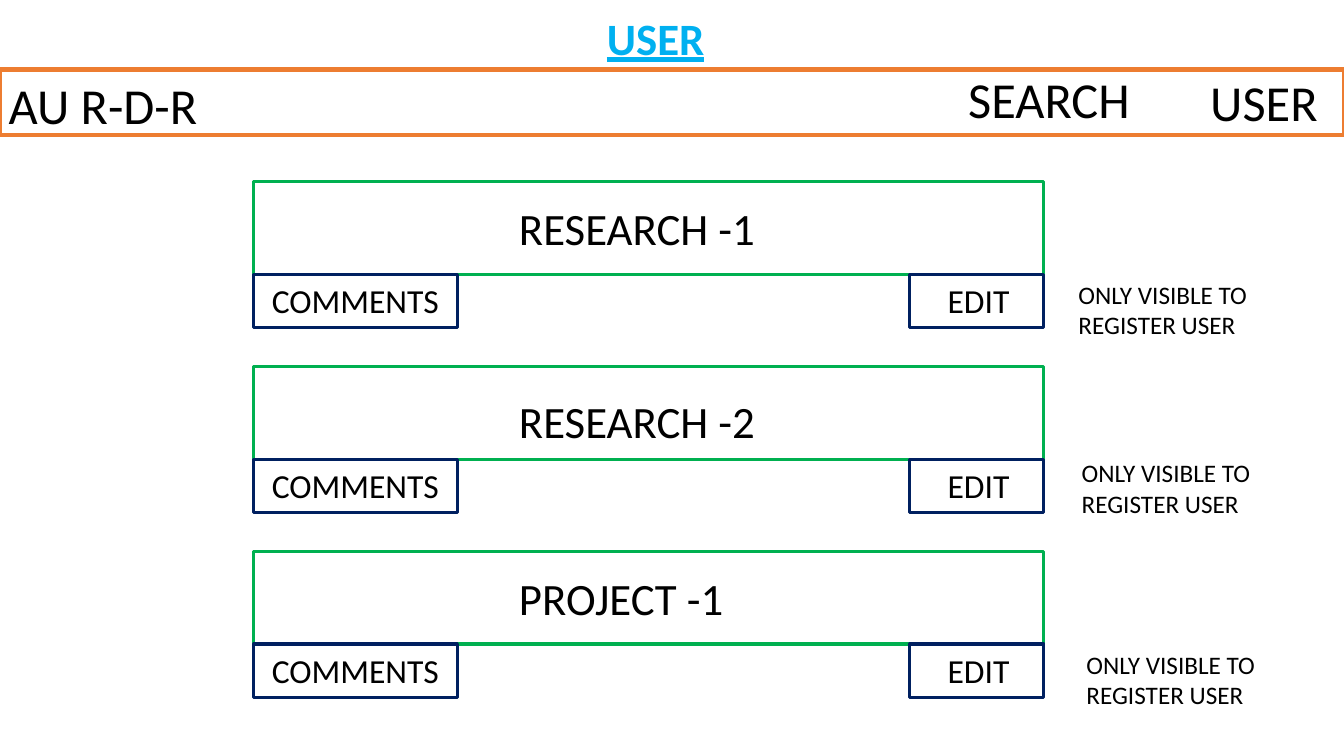
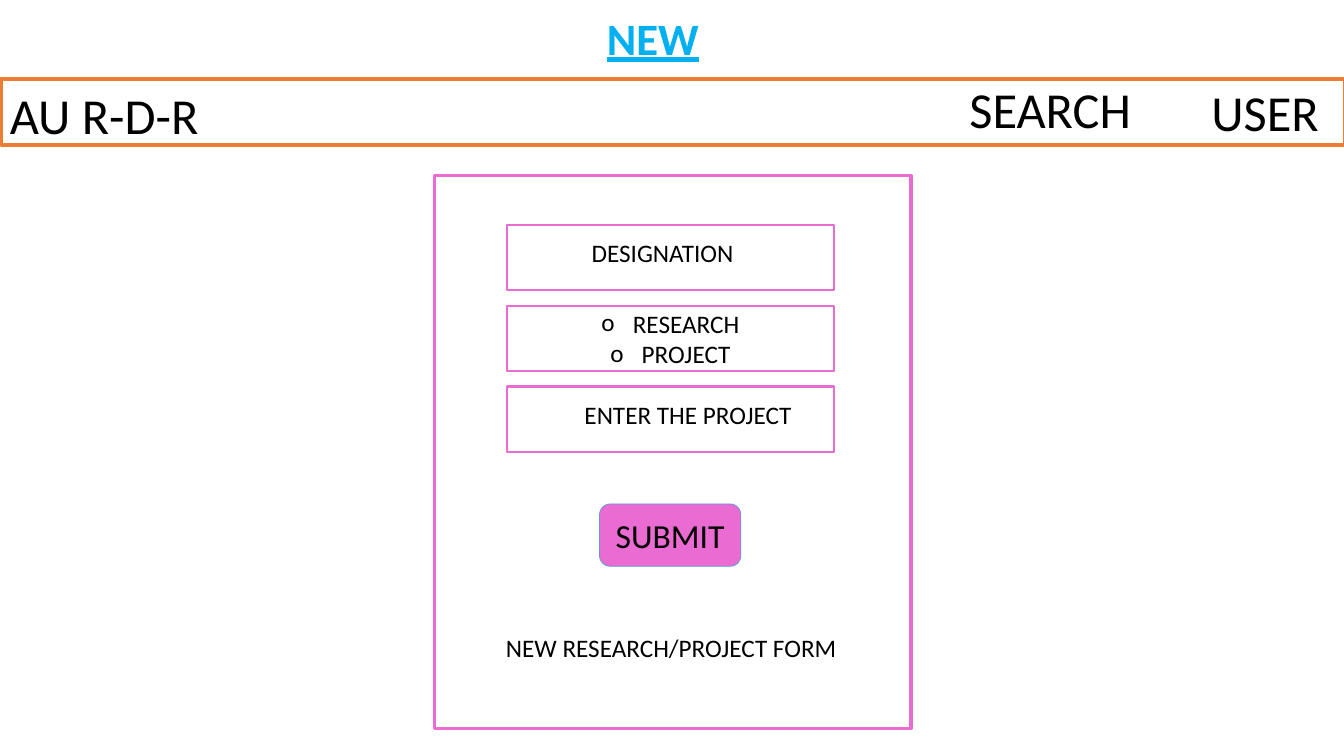
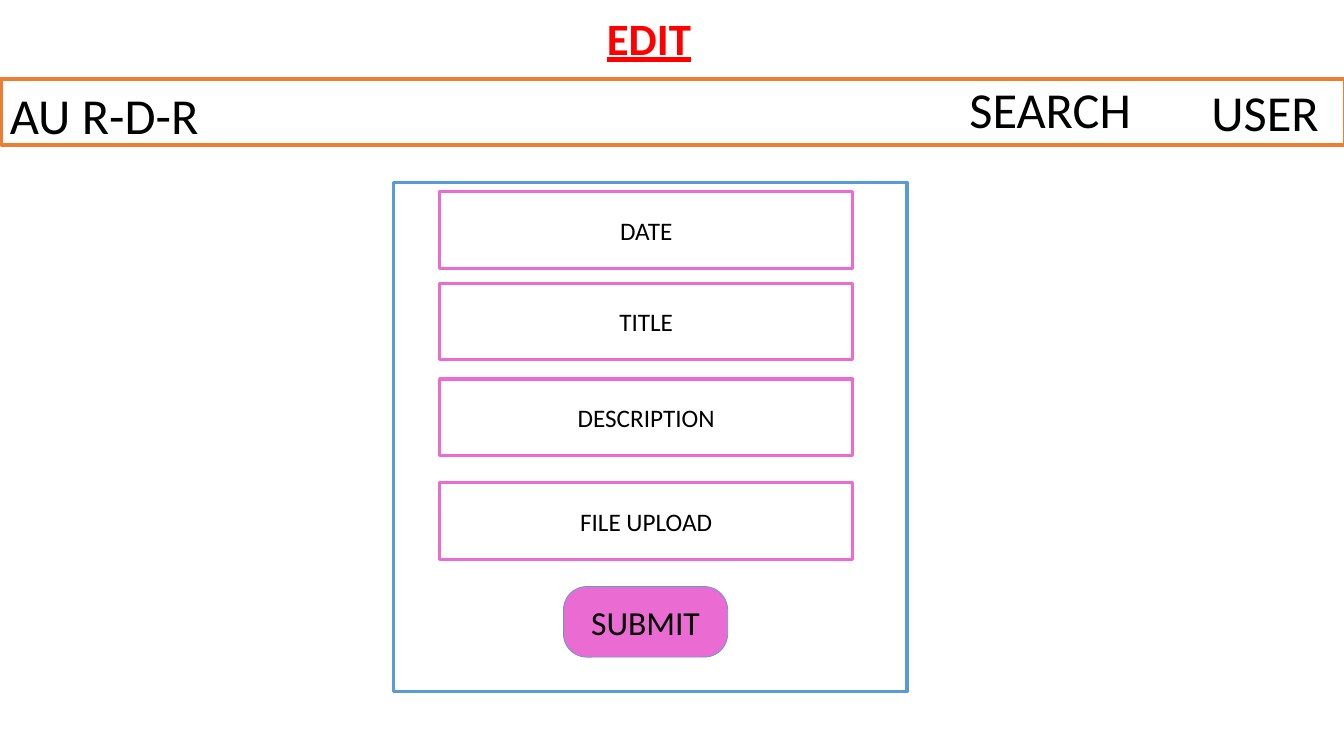
from pptx import Presentation
from pptx.dml.color import RGBColor
from pptx.enum.shapes import MSO_SHAPE
from pptx.enum.text import MSO_ANCHOR, MSO_AUTO_SIZE, PP_ALIGN
from pptx.oxml.ns import qn
from pptx.util import Cm, Pt
from lxml import etree

RECT, ROUNDED = MSO_SHAPE.RECTANGLE, MSO_SHAPE.ROUNDED_RECTANGLE
TOP, MIDDLE = MSO_ANCHOR.TOP, MSO_ANCHOR.MIDDLE
LEFT, CENTER = PP_ALIGN.LEFT, PP_ALIGN.CENTER
FIXED, GROW = MSO_AUTO_SIZE.NONE, MSO_AUTO_SIZE.SHAPE_TO_FIT_TEXT
TITLE_AND_BODY, TITLE_ONLY = 1, 5

COLORS = {
    "white": "FFFFFF", "text": "000000", "title": "00B0F0", "alert": "FF0000",
    "header": "ED7D31", "card": "00B050", "button": "002060",
    "form": "EA6CD2", "outline": "5B9BD5",
}
FORMATS = {
    "title": {"name": "Calibri", "size": Pt(32), "bold": True, "underline": True},
    "header": {"name": "Calibri", "size": Pt(36)},
    "heading": {"name": "Calibri", "size": Pt(32)},
    "button": {"name": "Calibri", "size": Pt(24)},
    "small": {"name": "Calibri", "size": Pt(18)},
}


# Shared helpers; all boxes are (left, top, width, height) in centimetres
def color(key):
    return RGBColor.from_string(COLORS[key])


def place(shape, box):
    for side, length in zip(("left", "top", "width", "height"), box):
        setattr(shape, side, Cm(length))


def write(shape, lines, style, ink="text", align=LEFT, anchor=TOP, fit=FIXED):
    frame = shape.text_frame
    frame.text = lines
    frame.word_wrap, frame.auto_size, frame.vertical_anchor = True, fit, anchor
    for paragraph in frame.paragraphs:
        paragraph.alignment = align
        paragraph.space_before = Pt(0)
        for run in paragraph.runs:
            for attribute, value in FORMATS[style].items():
                setattr(run.font, attribute, value)
            run.font.color.rgb = color(ink)


def paint(shape, line, weight, fill="white"):
    shape.fill.solid()
    shape.fill.fore_color.rgb = color(fill)
    shape.line.color.rgb = color(line)
    shape.line.width = Pt(weight)


def add_box(shapes, box, line, weight, fill="white", outline=RECT):
    shape = shapes.add_shape(outline, *map(Cm, box))
    shape.shadow.inherit = False
    paint(shape, line, weight, fill)
    return shape


def add_label(shapes, box, words, style):
    write(shapes.add_textbox(*map(Cm, box)), words, style, fit=GROW)


def add_bullets(shape, mark):
    for paragraph in shape.text_frame.paragraphs:
        properties = paragraph._p.get_or_add_pPr()
        properties.set("marL", str(Cm(0.79)))
        properties.set("indent", str(-Cm(0.79)))
        font = etree.SubElement(properties, qn("a:buFont"))
        font.set("typeface", "Calibri")
        bullet = etree.SubElement(properties, qn("a:buChar"))
        bullet.set("char", mark)


# Regions
def add_page(layout, title, ink, header_left, header_top):
    slide = deck.slides.add_slide(deck.slide_layouts[layout])
    place(slide.shapes.title, (15.04, 0.13, 3.81, 1.63))
    write(slide.shapes.title, title, "title", ink)
    add_header(slide, header_left, header_top)
    return slide


def add_header(slide, left, top):
    header = slide.shapes.add_group_shape().shapes
    add_box(header, (left, top, 33.87, 1.65), "header", 3)
    for dx, dy, width, words in (
        (-0.03, 0, 6.63, "AU R-D-R"),
        (30.25, -0.08, 3.4, "USER"),
        (24.15, -0.15, 4.67, "SEARCH"),
    ):
        add_label(header, (left + dx, top + dy, width, 1.8), words, "header")


def add_card(slide, box, heading, heading_dy, note_dx, note_dy):
    left, top, width, height = box
    shapes = slide.shapes
    add_box(shapes, box, "card", 2.25)
    add_label(shapes, (left + 6.43, top + heading_dy, 7.01, 1.63), heading, "heading")

    # Buttons hang from the two lower corners of the card
    for dx, button_width, inset, words in (
        (0, 5.13, 0.2, "COMMENTS"),
        (width - 3.38, 3.38, 0.7, "EDIT"),
    ):
        x, y = left + dx, top + height
        add_box(shapes, (x, y, button_width, 1.35), "button", 2.25)
        add_label(shapes, (x + inset, y + 0.02, button_width - inset, 1.27),
                  words, "button")

    add_label(shapes, (left + width + note_dx, top + height + note_dy, 5.64, 1.8),
              "ONLY VISIBLE TO REGISTER USER", "small")


def add_submit(slide, box, rounding):
    submit = add_box(slide.shapes, box, "outline", 0.5, "form", ROUNDED)
    submit.adjustments[0] = rounding
    write(submit, "SUBMIT", "button", align=CENTER, anchor=MIDDLE)


def add_new_form(slide, box):
    left, top = box[:2]
    shapes = slide.shapes
    panel = add_box(shapes, box, "form", 2.25)
    designation, kind, project = [
        (left + 1.83, top + 1.24 + 2.04 * row, 8.23, 1.65) for row in range(3)
    ]

    # Text fields
    for field, dx, words in (
        (designation, 1.88, "DESIGNATION"), (project, 1.7, "ENTER THE PROJECT"),
    ):
        add_box(shapes, field, "form", 1.5)
        add_label(shapes, (field[0] + dx, field[1] + 0.19, 5.74, 1.02), words, "small")

    # Choice list, stacked above the panel
    choices = slide.placeholders[1]
    panel.element.addnext(choices.element)
    place(choices, kind)
    paint(choices, "form", 1.5)
    write(choices, "RESEARCH\nPROJECT", "small", align=CENTER, anchor=MIDDLE)
    add_bullets(choices, "o")

    add_submit(slide, (left + 4.16, top + 8.28, 3.56, 1.57), 0.17)
    add_label(shapes, (left + 1.55, top + 11.38, 10.06, 1.02),
              "NEW RESEARCH/PROJECT FORM", "small")


def add_edit_form(slide, box):
    left, top = box[:2]
    add_box(slide.shapes, box, "outline", 2.25)
    for dy, words in (
        (0.23, "DATE"), (2.54, "TITLE"), (4.95, "DESCRIPTION"), (7.57, "FILE UPLOAD"),
    ):
        field = add_box(slide.shapes, (left + 1.17, top + dy, 10.41, 1.93), "form", 2.25)
        write(field, words, "small", align=CENTER, anchor=MIDDLE)
    add_submit(slide, (left + 4.29, top + 10.18, 4.14, 1.78), 0.33)


deck = Presentation()
deck.slide_width, deck.slide_height = Cm(33.87), Cm(19.05)

# Slide 1: list of entries
user_page = add_page(TITLE_ONLY, "USER", "title", 0, 1.75)
for row, details in enumerate((
    ("RESEARCH -1", 0.36, 0.62, 0),
    ("RESEARCH -2", 0.56, 0.7, -0.16),
    ("PROJECT -1", 0.36, 0.82, 0),
)):
    add_card(user_page, (6.4, 4.57 + 4.66 * row, 19.91, 2.34), *details)

# Slide 2: form for a new entry
new_page = add_page(TITLE_AND_BODY, "NEW", "title", 0.03, 2)
add_new_form(new_page, (10.95, 4.42, 12.01, 13.94))

# Slide 3: form for changing an entry
edit_page = add_page(TITLE_ONLY, "EDIT", "alert", 0.03, 2)
add_edit_form(edit_page, (9.91, 4.6, 12.95, 12.83))

deck.save("out.pptx")
